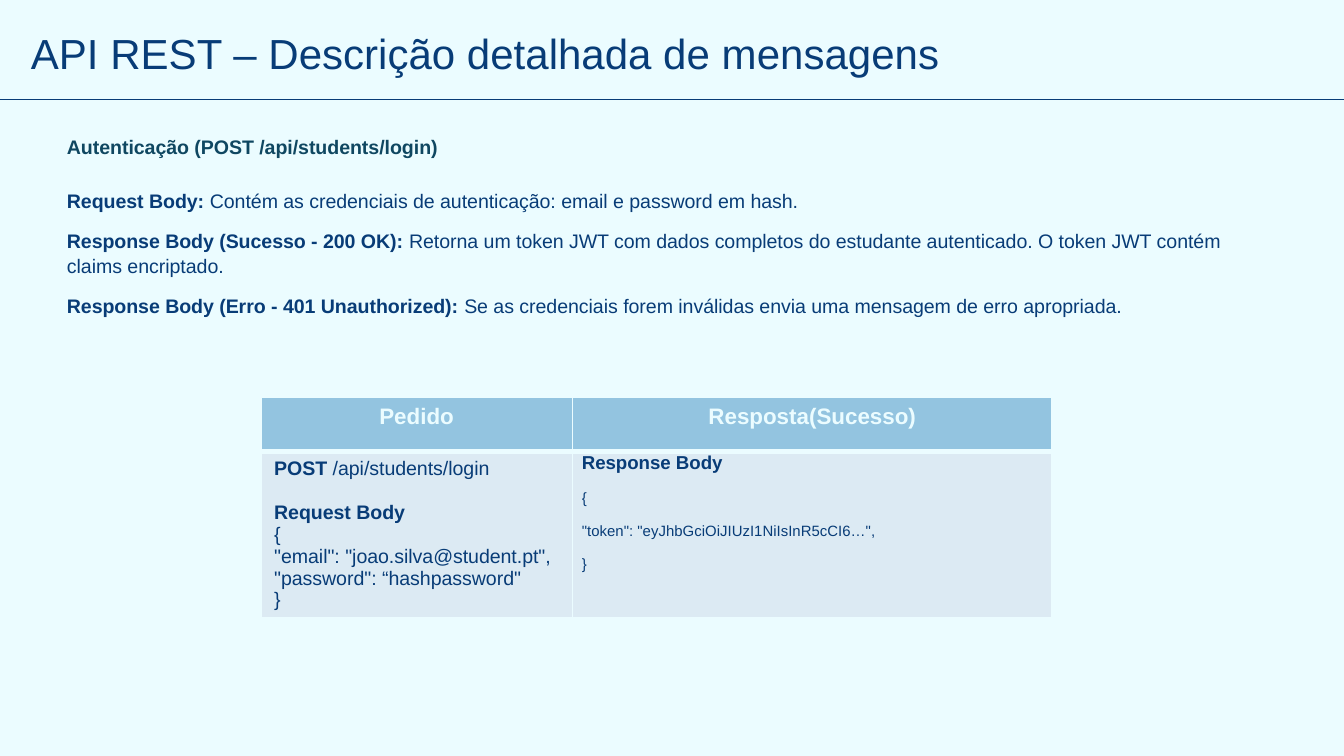
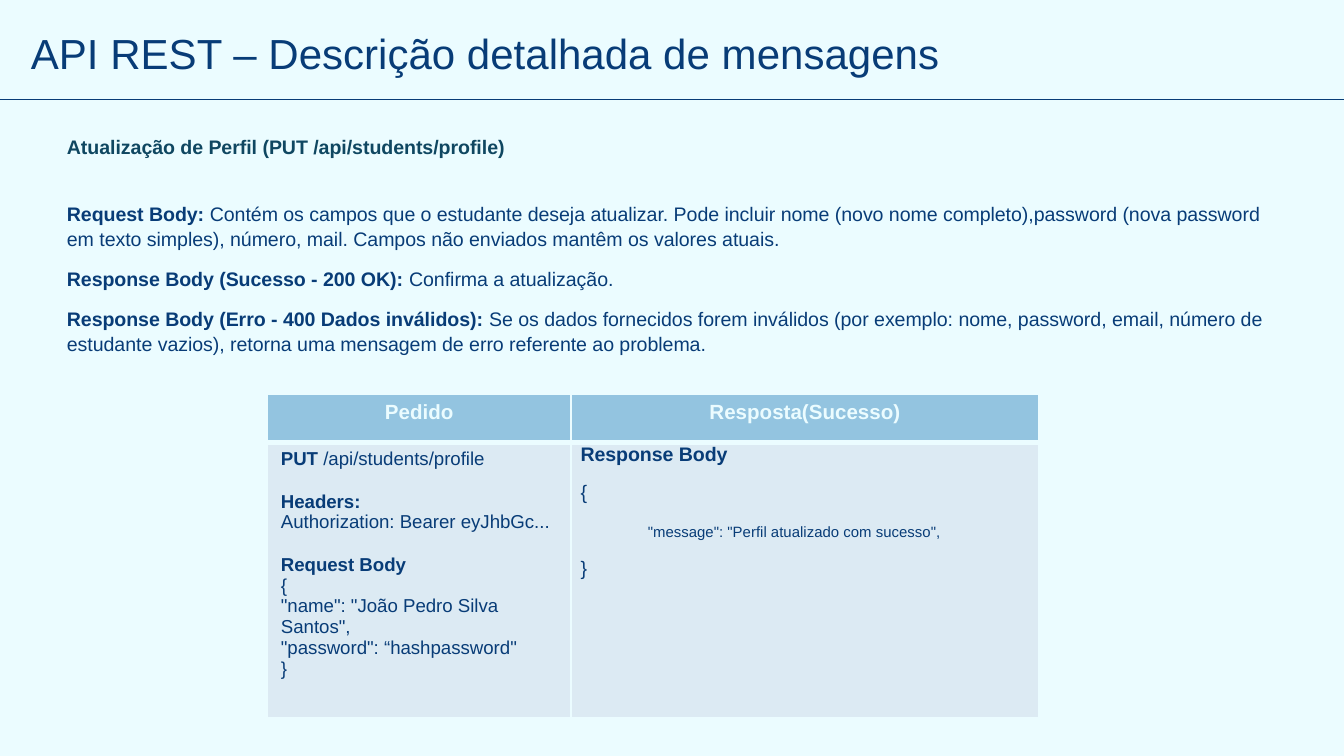
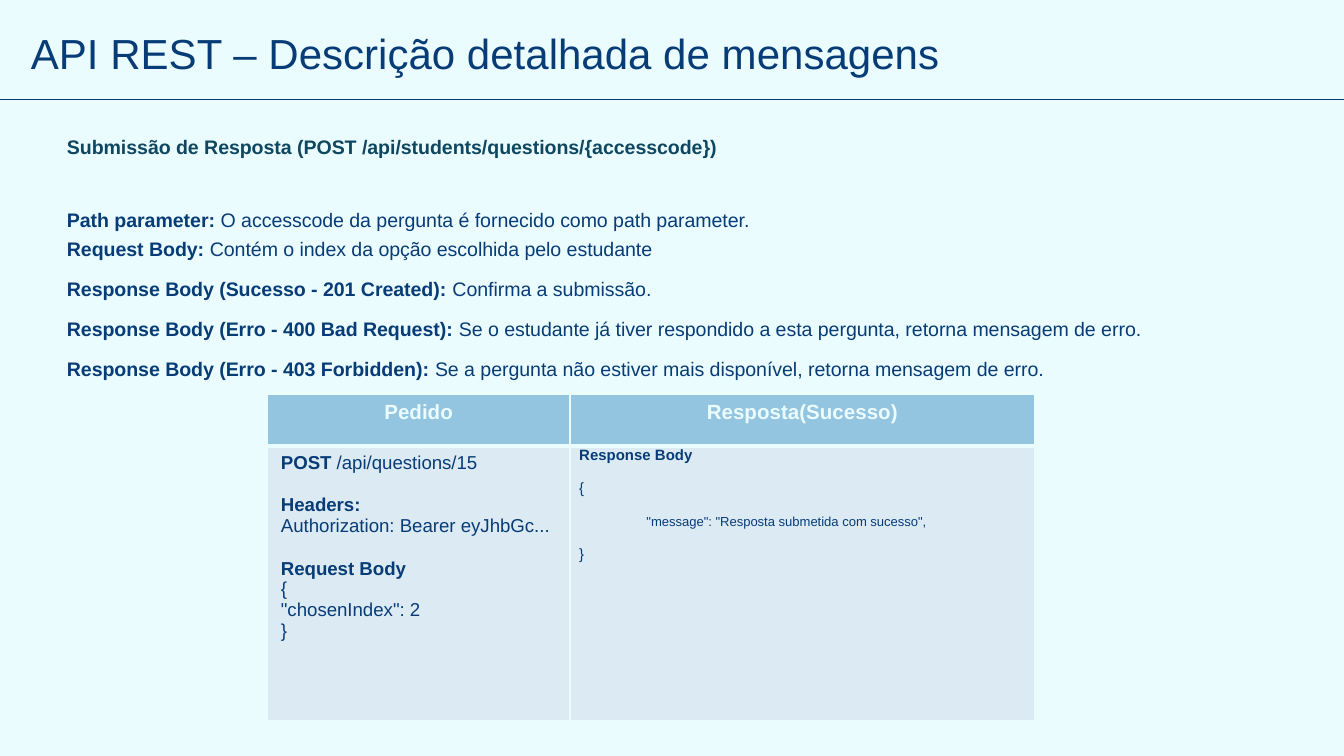
import pptx
import pptx.util
import pptx.dml.color
import pptx.enum.shapes
import pptx.enum.text
import pptx.oxml.ns
import lxml.etree

COLORS = {
    "page": "EBFCFF",
    "ink": "083C77",
    "heading": "0F4761",
    "header": "93C4E0",
    "cell": "DCEAF3",
}
FONT = "Arial"
TITLE = "API REST – Descrição detalhada de mensagens"
LEFT = pptx.enum.text.PP_ALIGN.LEFT
CENTER = pptx.enum.text.PP_ALIGN.CENTER


def rgb(name):
    return pptx.dml.color.RGBColor.from_string(COLORS[name])


class Deck:
    """Holds the shared style and the current slide; lengths are percent of the slide."""

    def __init__(self):
        self.prs = pptx.Presentation()
        self.prs.slide_width = pptx.util.Inches(10)
        self.prs.slide_height = pptx.util.Inches(5.625)
        fill = self.prs.slide_master.background.fill
        fill.solid()
        fill.fore_color.rgb = rgb("page")
        self.s = None

    def x(self, share):
        return round(self.prs.slide_width * share / 100)

    def y(self, share):
        return round(self.prs.slide_height * share / 100)

    def box(self, left, top, width, height):
        return self.x(left), self.y(top), self.x(width), self.y(height)

    def add_text(self, p, text, size, color="ink", tab_size=None):
        """Fill a paragraph; text between ** marks is bold, tab_size puts a tab in front."""
        runs = [(part, i % 2 == 1, size) for i, part in enumerate(text.split("**")) if part]
        if tab_size:
            runs.insert(0, ("\t", False, tab_size))
        for part, bold, points in runs:
            r = p.add_run()
            r.text = part
            r.font.name = FONT
            r.font.size = pptx.util.Pt(points)
            r.font.bold = bold
            r.font.color.rgb = rgb(color)

    def space(self, p, after, before=0, line=1.07):
        p.line_spacing = line
        p.space_before = pptx.util.Pt(before)
        p.space_after = pptx.util.Pt(after)

    def paragraphs(self, tf, count):
        return [tf.paragraphs[0]] + [tf.add_paragraph() for _ in range(count - 1)]

    def title(self, text):
        self.s = self.prs.slides.add_slide(self.prs.slide_layouts[5])
        sp = self.s.shapes.title
        sp.left, sp.top, sp.width, sp.height = self.box(1.3, 3.4, 95, 8.7)
        tf = sp.text_frame
        tf.vertical_anchor = pptx.enum.text.MSO_ANCHOR.BOTTOM
        tf.auto_size = pptx.enum.text.MSO_AUTO_SIZE.NONE
        tf.margin_left = tf.margin_right = pptx.util.Inches(0.1)
        tf.margin_top = tf.margin_bottom = pptx.util.Inches(0.1)
        tf.paragraphs[0].alignment = LEFT
        self.add_text(tf.paragraphs[0], text, 22.5)

    def rule(self):
        y = self.y(13.2)
        straight = pptx.enum.shapes.MSO_CONNECTOR.STRAIGHT
        line = self.s.shapes.add_connector(straight, 0, y, self.x(101.7), y)
        line.line.color.rgb = rgb("ink")
        line.line.width = pptx.util.Pt(0.75)
        sp_pr = line._element.spPr
        lxml.etree.SubElement(sp_pr, pptx.oxml.ns.qn("a:effectLst"))

    def notes(self, heading, texts, height, gap, first_after=8):
        tf = self.s.shapes.add_textbox(*self.box(4, 16.7, 92.3, height)).text_frame
        tf.word_wrap = True
        head, *body = self.paragraphs(tf, len(texts) + 1)
        self.space(head, after=2)
        self.add_text(head, f"**{heading}**", 10.5, "heading")
        for i, (p, text) in enumerate(zip(body, texts)):
            self.space(p, after=8 if i else first_after, before=0 if i else gap)
            self.add_text(p, text, 10.5)

    def cell(self, cell, fill, top, bottom):
        tc_pr = cell._tc.get_or_add_tcPr()
        for side, points in (("L", 1), ("R", 1), ("T", top), ("B", bottom)):
            ln = lxml.etree.SubElement(tc_pr, pptx.oxml.ns.qn(f"a:ln{side}"), w=str(pptx.util.Pt(points)))
            solid = lxml.etree.SubElement(ln, pptx.oxml.ns.qn("a:solidFill"))
            lxml.etree.SubElement(solid, pptx.oxml.ns.qn("a:srgbClr"), val=COLORS["page"])
        cell.fill.solid()
        cell.fill.fore_color.rgb = rgb(fill)
        return cell.text_frame

    def messages(self, left, top, cols, rows, head_size, size, request, response):
        frame = self.s.shapes.add_table(2, 2, *self.box(left, top, sum(cols), sum(rows)))
        table = frame.table
        table.first_row = table.horz_banding = False
        for column, width in zip(table.columns, cols):
            column.width = self.x(width)
        for row, height in zip(table.rows, rows):
            row.height = self.y(height)

        # Header row
        for i, label in enumerate(("Pedido", "Resposta(Sucesso)")):
            p = self.cell(table.cell(0, i), "header", 1, 3).paragraphs[0]
            p.alignment = CENTER
            self.add_text(p, f"**{label}**", head_size, "page")

        # Request: groups of lines, one empty line's height apart
        tf = self.cell(table.cell(1, 0), "cell", 3, 1)
        lines = [(text, g > 0 and i == 0) for g, group in enumerate(request) for i, text in enumerate(group)]
        for p, (text, opens) in zip(self.paragraphs(tf, len(lines)), lines):
            self.space(p, after=0, before=1.15 * size if opens else 0, line=1.0)
            self.add_text(p, text, size)

        # Response: each line has its own size
        cell = table.cell(1, 1)
        cell.margin_left = cell.margin_right = pptx.util.Inches(0.07)
        cell.margin_top = cell.margin_bottom = 0
        tf = self.cell(cell, "cell", 3, 1)
        for p, line in zip(self.paragraphs(tf, len(response)), response):
            self.space(p, after=8)
            self.add_text(p, *line[:2], tab_size=line[2] if len(line) > 2 else None)


HEADERS = ["**Headers:**", "Authorization: Bearer eyJhbGc..."]

SLIDES = [
    # Login
    {
        "notes": {
            "heading": "Autenticação (POST /api/students/login)",
            "height": 26, "gap": 13.5,
            "texts": [
                "**Request Body:** Contém as credenciais de autenticação: email e password em hash.",
                "**Response Body (Sucesso - 200 OK):** Retorna um token JWT com dados completos do "
                "estudante autenticado. O token JWT contém claims encriptado.",
                "**Response Body (Erro - 401 Unauthorized):** Se as credenciais forem inválidas envia "
                "uma mensagem de erro apropriada.",
            ],
        },
        "messages": {
            "left": 19.4, "top": 52.6, "cols": (23.2, 35.7), "rows": (7.1, 21.6),
            "head_size": 12, "size": 10.5,
            "request": [
                ["**POST** /api/students/login"],
                ["**Request Body**", "{", '"email": "joao.silva@student.pt",',
                 '"password": “hashpassword"', "}"],
            ],
            "response": [
                ("**Response Body**", 10), ("{", 8),
                ('"token": "eyJhbGciOiJIUzI1NiIsInR5cCI6…",', 8), ("}", 8),
            ],
        },
    },
    # Profile update
    {
        "notes": {
            "heading": "Atualização de Perfil (PUT /api/students/profile)",
            "height": 37.3, "gap": 20.5,
            "texts": [
                "**Request Body:** Contém os campos que o estudante deseja atualizar. Pode incluir nome "
                "(novo nome completo),password (nova password em texto simples), número, mail. "
                "Campos não enviados mantêm os valores atuais.",
                "**Response Body (Sucesso - 200 OK):** Confirma a atualização.",
                "**Response Body (Erro - 400 Dados inválidos):** Se os dados fornecidos forem inválidos "
                "(por exemplo: nome, password, email, número de estudante vazios), retorna uma "
                "mensagem de erro referente ao problema.",
            ],
        },
        "messages": {
            "left": 19.9, "top": 52.1, "cols": (22.6, 34.8), "rows": (6.4, 36.4),
            "head_size": 11, "size": 10,
            "request": [
                ["**PUT** /api/students/profile"],
                HEADERS,
                ["**Request Body**", "{", '"name": "João Pedro Silva Santos",',
                 '"password": “hashpassword"', "}"],
            ],
            "response": [
                ("**Response Body**", 10.5), ("{", 10.5),
                ('"message": "Perfil atualizado com sucesso",', 8, 10.5), ("}", 10.5),
            ],
        },
    },
    # Answer submission
    {
        "notes": {
            "heading": "Submissão de Resposta (POST /api/students/questions/{accesscode})",
            "height": 40.9, "gap": 24, "first_after": 2,
            "texts": [
                "**Path parameter:** O accesscode da pergunta é fornecido como path parameter.",
                "**Request Body:** Contém o index da opção escolhida pelo estudante",
                "**Response Body (Sucesso - 201 Created):** Confirma a submissão.",
                "**Response Body (Erro - 400 Bad Request):** Se o estudante já tiver respondido a esta "
                "pergunta, retorna mensagem de erro.",
                "**Response Body (Erro - 403 Forbidden):** Se a pergunta não estiver mais disponível, "
                "retorna mensagem de erro.",
            ],
        },
        "messages": {
            "left": 19.9, "top": 52.1, "cols": (22.5, 34.6), "rows": (6.9, 36.4),
            "head_size": 11, "size": 10,
            "request": [
                ["**POST** /api/questions/15"],
                HEADERS,
                ["**Request Body**", "{", '"chosenIndex": 2', "}"],
            ],
            "response": [
                ("**Response Body**", 8), ("{", 8),
                ('"message": "Resposta submetida com sucesso",', 7, 8), ("}", 8),
            ],
        },
    },
]


def main():
    deck = Deck()
    for content in SLIDES:
        deck.title(TITLE)
        deck.rule()
        deck.messages(**content["messages"])
        deck.notes(**content["notes"])
    deck.prs.save("out.pptx")


if __name__ == "__main__":
    main()
